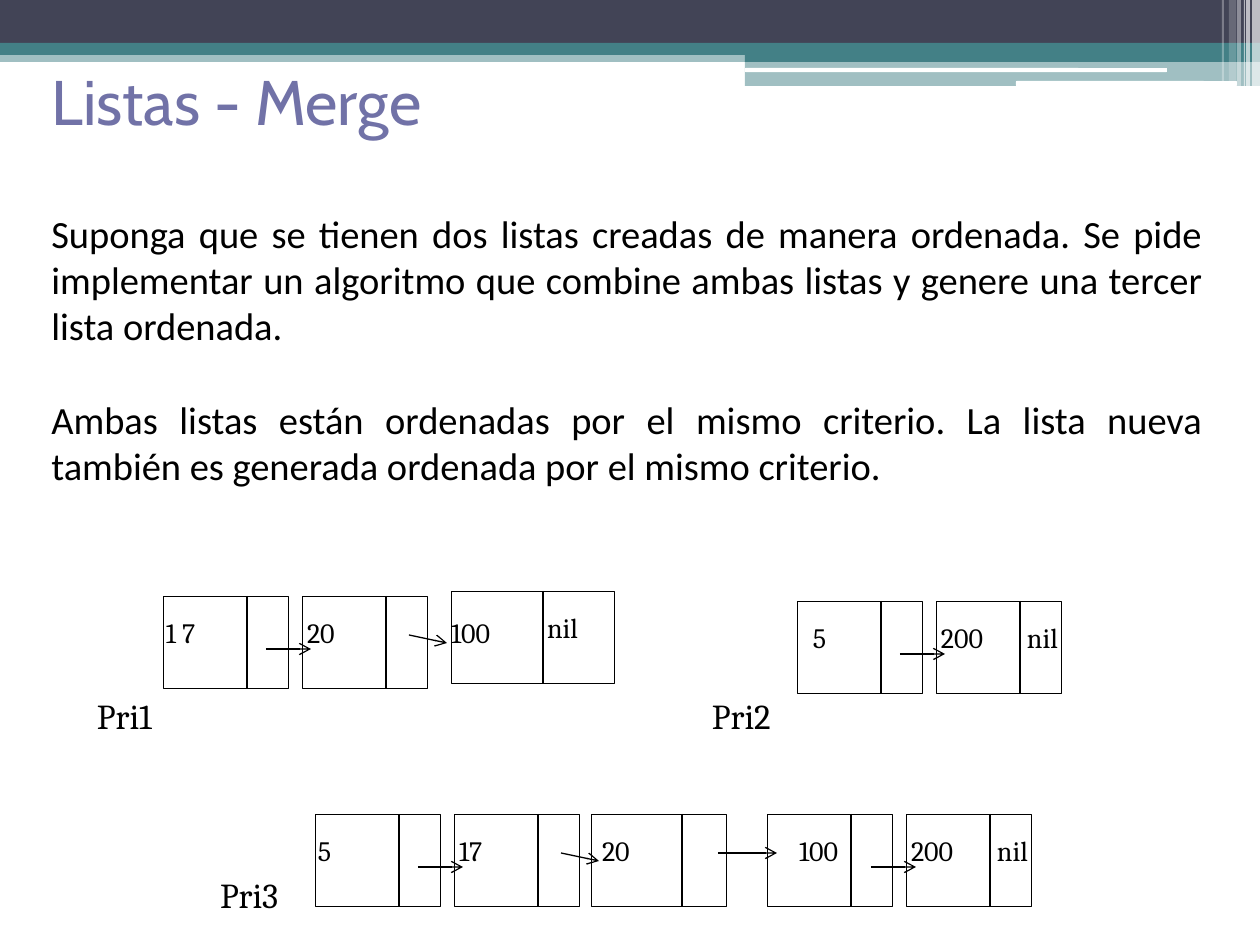
from lxml import etree
from pptx import Presentation
from pptx.dml.color import RGBColor
from pptx.enum.shapes import MSO_CONNECTOR, MSO_SHAPE
from pptx.enum.text import MSO_ANCHOR, PP_ALIGN
from pptx.oxml.ns import qn
from pptx.util import Pt

RECT, ROUND = MSO_SHAPE.RECTANGLE, MSO_SHAPE.ROUNDED_RECTANGLE
LINE = MSO_CONNECTOR.STRAIGHT
MID, TOP = MSO_ANCHOR.MIDDLE, MSO_ANCHOR.TOP
LEFT, JUST = PP_ALIGN.LEFT, PP_ALIGN.JUSTIFY
HEX = {"dark": "424456", "teal": "438086", "white": "FFFFFF",
       "title": "7172A7", "ink": "000000"}
WIDE, TALL = 1260, 945
NODE_W, NODE_H, SPLIT = 126, 92, 84
TEXT_Y = 20


def px(n):
    return round(n * 914400 / 126)


def color(name):
    return RGBColor.from_string(HEX[name])


def write(frame, texts, size, font, ink="ink", align=LEFT, gap=0):
    for i, text in enumerate(texts):
        para = frame.paragraphs[0] if i == 0 else frame.add_paragraph()
        para.alignment = align
        para.space_before = Pt(gap if i else 0)
        run = para.add_run()
        run.text = text
        run.font.size = Pt(size)
        run.font.name = font
        run.font.color.rgb = color(ink)


def label(slide, x, y, text, size=16):
    box = slide.shapes.add_textbox(px(x), px(y), px(70), px(42))
    frame = box.text_frame
    frame.margin_left = frame.margin_right = 0
    frame.margin_top = frame.margin_bottom = 0
    write(frame, [text], size, "Cambria")


def line(slide, x1, y1, x2, y2, arrow=False):
    item = slide.shapes.add_connector(LINE, px(x1), px(y1), px(x2), px(y2))
    item.line.color.rgb = color("ink")
    item.line.width = Pt(0.74)
    if arrow:
        etree.SubElement(item.line._get_or_add_ln(), qn("a:tailEnd"), type="arrow")
    etree.SubElement(item._element.spPr, qn("a:effectLst"))


def block(slide, kind, x, y, w, h, fill=None, alpha=100):
    item = slide.shapes.add_shape(kind, px(x), px(y), px(w), px(h))
    item.shadow.inherit = False
    if fill:
        item.fill.solid()
        item.fill.fore_color.rgb = color(fill)
        item.line.fill.background()
        if alpha < 100:
            tone = next(item._element.spPr.iter(qn("a:srgbClr")))
            etree.SubElement(tone, qn("a:alpha"), val=str(alpha * 1000))
    else:
        item.fill.background()
        item.line.color.rgb = color("ink")
        item.line.width = Pt(0.51)


def banner(slide, w):
    tab = 745
    for x, y, h, fill, alpha in [
        (0, 50, 12, "teal", 50), (0, 0, 43, "dark", 100), (0, 43, 12, "teal", 100),
        (tab, 49, 13, "teal", 100), (tab, 61, 25, "teal", 50),
    ]:
        block(slide, RECT, x, y, w - x, h, fill, alpha)
    block(slide, ROUND, tab, 68, 422, 4, "white")
    block(slide, ROUND, 1016, 81, 221, 5, "white")
    for back, wide, h, alpha in [
        (8, 8, 86, 65), (14, 4, 86, 65), (16, 1, 86, 60),
        (23, 4, 86, 40), (31, 7, 81, 20), (38, 2, 81, 30),
    ]:
        block(slide, RECT, w - back, 0, wide, h, "white", alpha)


def heading(slide, x, y, w, h, text):
    title = slide.shapes.title
    title.left, title.top, title.width, title.height = map(px, (x, y, w, h))
    title.text_frame.vertical_anchor = MID
    write(title.text_frame, [text], 36, "Cabin", "title")


def story(slide, x, y, w, h, texts):
    frame = slide.shapes.add_textbox(px(x), px(y), px(w), px(h)).text_frame
    frame.word_wrap = True
    frame.vertical_anchor = TOP
    write(frame, texts, 22, "Calibri", align=JUST, gap=27)


def node(slide, x, y, value, dx, nil=None, w=NODE_W, split=SPLIT, dy=TEXT_Y):
    block(slide, RECT, x, y, w, NODE_H)
    line(slide, x + split, y, x + split, y + NODE_H)
    label(slide, x + dx, y + dy, value)
    if nil:
        label(slide, x + nil, y + TEXT_Y, "nil")


def chain(slide, x, y, name, spot, nodes, arrows):
    label(slide, x + spot[0], y + spot[1], name, 20)
    for dx, dy, value, inset, more in nodes:
        node(slide, x + dx, y + dy, value, inset, **more)
    for x1, y1, x2, y2 in arrows:
        line(slide, x + x1, y + y1, x + x2, y + y2, True)


deck = Presentation()
deck.slide_width, deck.slide_height = px(WIDE), px(TALL)
slide = deck.slides.add_slide(deck.slide_layouts[5])
banner(slide, WIDE)
heading(slide, 39, 43, 1176, 115, "Listas - Merge")
story(slide, 39, 204, 1176, 290, [
    "Suponga que se tienen dos listas creadas de manera ordenada. Se pide "
    "implementar un algoritmo que combine ambas listas y genere una tercer "
    "lista ordenada.",
    "Ambas listas están ordenadas por el mismo criterio. La lista nueva "
    "también es generada ordenada por el mismo criterio.",
])
FLAT, SLOPE = (103, 53, 148, 53), (246, 39, 284, 47)
chain(slide, 163, 596, "Pri1", (-66, 98), [
    (0, 0, "1 7", 3, {}),
    (139, 0, "20", 5, {}),
    (288, -5, "100", 0, {"nil": 96, "w": 164, "split": 92, "dy": 25}),
], [FLAT, SLOPE])
chain(slide, 797, 601, "Pri2", (-85, 93), [
    (0, 0, "5", 16, {}),
    (139, 0, "200", 5, {"nil": 91}),
], [FLAT])
chain(slide, 315, 814, "Pri3", (-95, 59), [
    (0, 0, "5", 3, {}),
    (139, 0, "17", 5, {}),
    (276, 0, "20", 11, {"w": 136, "split": 91}),
    (452, 0, "100", 32, {}),
    (591, 0, "200", 5, {"nil": 91}),
], [FLAT, SLOPE, (403, 39, 462, 39), (556, 53, 601, 53)])
deck.save("out.pptx")
